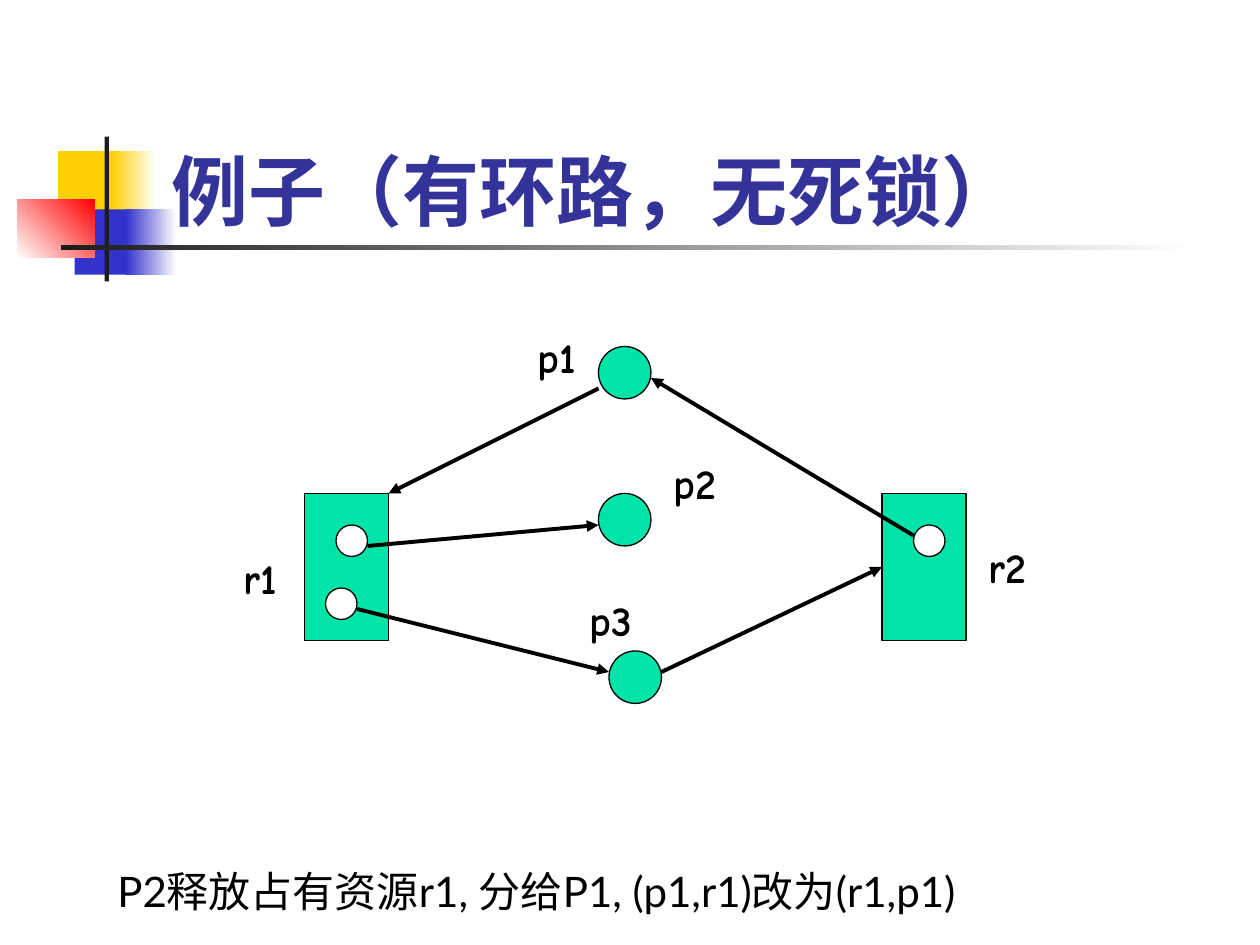
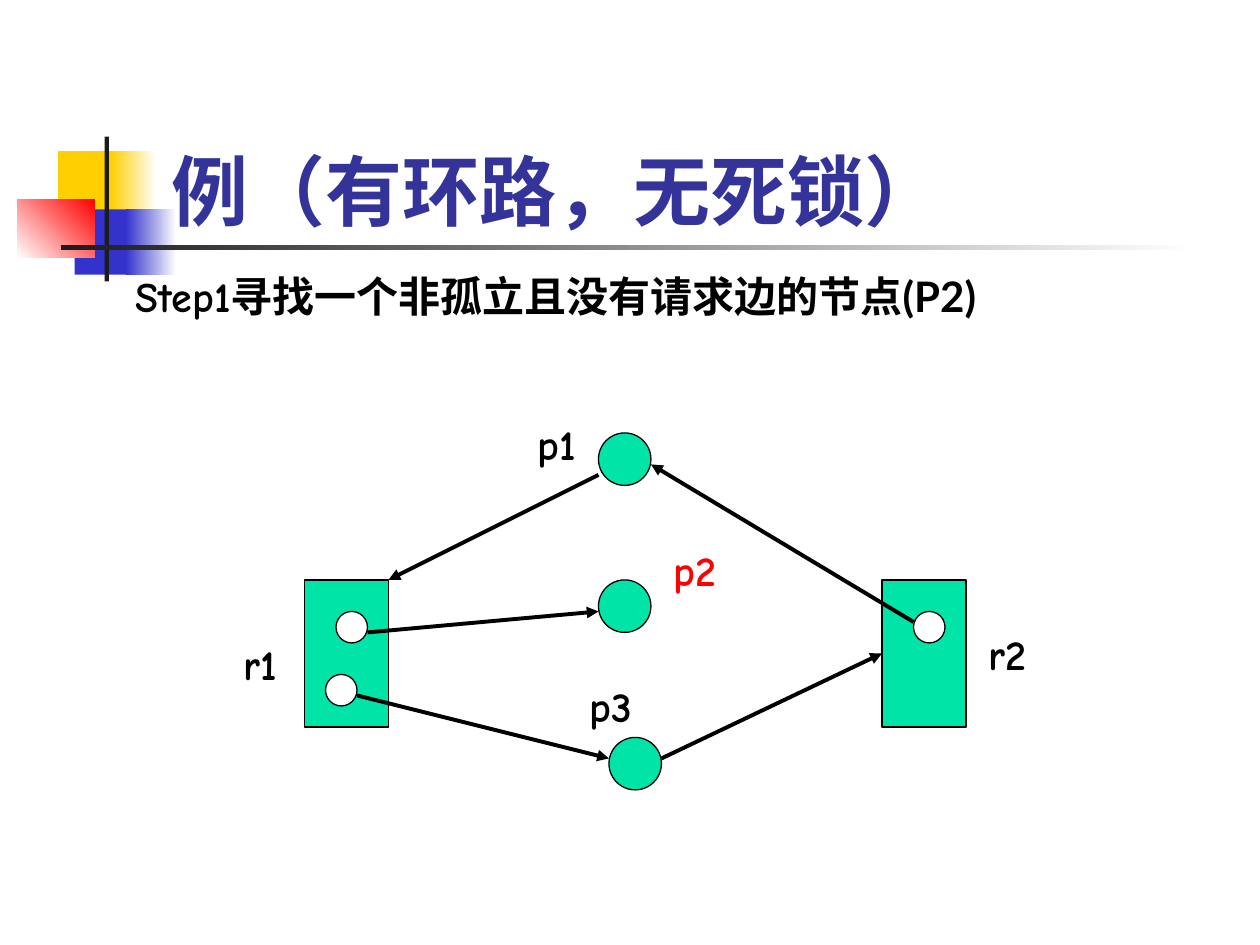
"""Build two slides showing a resource graph that has a cycle but no deadlock."""
from lxml import etree
from pptx import Presentation
from pptx.dml.color import RGBColor
from pptx.enum import shapes, text
from pptx.oxml import ns
from pptx.util import Pt

BLACK = RGBColor(0x00, 0x00, 0x00)
WHITE = RGBColor(0xFF, 0xFF, 0xFF)
RED = RGBColor(0xFF, 0x00, 0x00)
GOLD = RGBColor(0xFF, 0xCF, 0x01)
BLUE = RGBColor(0x33, 0x33, 0xCC)
NAVY = RGBColor(0x33, 0x33, 0x99)
DARK = RGBColor(0x1C, 0x1C, 0x1C)
GREEN = RGBColor(0x00, 0xE4, 0xA8)
SANS = "Lato"
COMIC = "Comic Neue"
RECT = shapes.MSO_SHAPE.RECTANGLE
OVAL = shapes.MSO_SHAPE.OVAL

BANDS = [
    ((33.2, 86.4, 34.4, 37.4), [GOLD], 0),
    ((63.4, 86.4, 25.9, 37.4), [GOLD, WHITE], 0),
    ((42.6, 119.6, 33.1, 37.4), [BLUE], 0),
    ((72, 119.6, 28.8, 37.4), [BLUE, WHITE], 0),
    ((9.8, 113.8, 44.4, 33.4), [WHITE, RED], 45),
    ((59.8, 78, 2.4, 82.8), [DARK], 0),
    ((34.8, 140.1, 648, 2.6), [DARK, WHITE], 0),
]
NODES = [
    (RECT, 174, 282, 48, 84, GREEN),
    (OVAL, 192, 300, 18, 18, WHITE),
    (OVAL, 186, 336, 18, 18, WHITE),
    (RECT, 504, 282, 48, 84, GREEN),
    (OVAL, 522, 300, 18, 18, WHITE),
    (OVAL, 342, 198, 30, 30, GREEN),
    (OVAL, 342, 282, 30, 30, GREEN),
    (OVAL, 348, 372, 30, 30, GREEN),
]
LABELS = [
    ("p1", 300, 186, 54),
    ("p2", 378, 258, 42),
    ("p3", 330, 336, 42),
    ("r1", 132, 312, 48),
    ("r2", 558, 306, 42),
]
EDGES = [
    (522, 306, 372, 216),
    (204, 348, 348, 384),
    (210, 312, 342, 300),
    (342, 222, 222, 282),
    (378, 384, 504, 324),
]
SLIDES = [
    ("例子（有环路，无死锁）", 0, None, (60, 491, 601),
     [("P2释放占有资源r1, 分给P1, (p1,r1)改为(r1,p1)", SANS, False)]),
    ("例（有环路，无死锁）", 49.4, "p2", (70.6, 151.2, 527),
     [("Step1", COMIC, True), ("寻找一个非孤立且没有请求边的节点(P2)", SANS, True)]),
]


def add_form(slide, kind, left, top, wide, high):
    """Add a preset shape with no shadow."""
    form = slide.shapes.add_shape(kind, Pt(left), Pt(top), Pt(wide), Pt(high))
    form.shadow.inherit = False
    return form


def add_text(slide, left, top, wide, high, runs, size=24, color=BLACK):
    """Add a wrapped text box made of (words, face, bold) runs."""
    box = slide.shapes.add_textbox(Pt(left), Pt(top), Pt(wide), Pt(high))
    frame = box.text_frame
    frame.word_wrap = True
    for words, face, bold in runs:
        run = frame.paragraphs[0].add_run()
        run.text = words
        font = run.font
        font.name, font.size, font.bold = face, Pt(size), bold
        font.color.rgb = color
        east = etree.SubElement(run._r.get_or_add_rPr(), ns.qn("a:ea"))
        east.set("typeface", face)
    return frame


deck = Presentation()
deck.slide_width, deck.slide_height = Pt(720), Pt(540)

for title, drop, hot, place, note in SLIDES:
    slide = deck.slides.add_slide(deck.slide_layouts[6])

    for area, tones, angle in BANDS:
        band = add_form(slide, RECT, *area)
        band.line.fill.background()
        if len(tones) == 1:
            band.fill.solid()
            band.fill.fore_color.rgb = tones[0]
        else:
            band.fill.gradient()
            band.fill.gradient_angle = angle
            for stop, tone in zip(band.fill.gradient_stops, tones):
                stop.color.rgb = tone

    head = add_text(slide, 90.7, 48.2, 613.4, 90, [(title, SANS, True)], 44, NAVY)
    head.vertical_anchor = text.MSO_ANCHOR.BOTTOM

    for kind, left, top, wide, high, tone in NODES:
        node = add_form(slide, kind, left, top + drop, wide, high)
        node.fill.solid()
        node.fill.fore_color.rgb = tone
        node.line.color.rgb = BLACK
        node.line.width = Pt(0.75)

    for name, left, top, wide in LABELS:
        tone = RED if name == hot else BLACK
        label = add_text(slide, left, top + drop, wide, 36, [(name, COMIC, True)], color=tone)
        label.auto_size = text.MSO_AUTO_SIZE.SHAPE_TO_FIT_TEXT

    for x1, y1, x2, y2 in EDGES:
        edge = slide.shapes.add_connector(
            shapes.MSO_CONNECTOR.STRAIGHT, Pt(x1), Pt(y1 + drop), Pt(x2), Pt(y2 + drop))
        edge.line.color.rgb = BLACK
        edge.line.width = Pt(2.25)
        tip = etree.SubElement(edge.line._get_or_add_ln(), ns.qn("a:tailEnd"))
        tip.set("type", "triangle")
        etree.SubElement(edge._element.spPr, ns.qn("a:effectLst"))

    foot = add_text(slide, *place, 36, note)
    foot.auto_size = text.MSO_AUTO_SIZE.SHAPE_TO_FIT_TEXT

deck.save("out.pptx")
